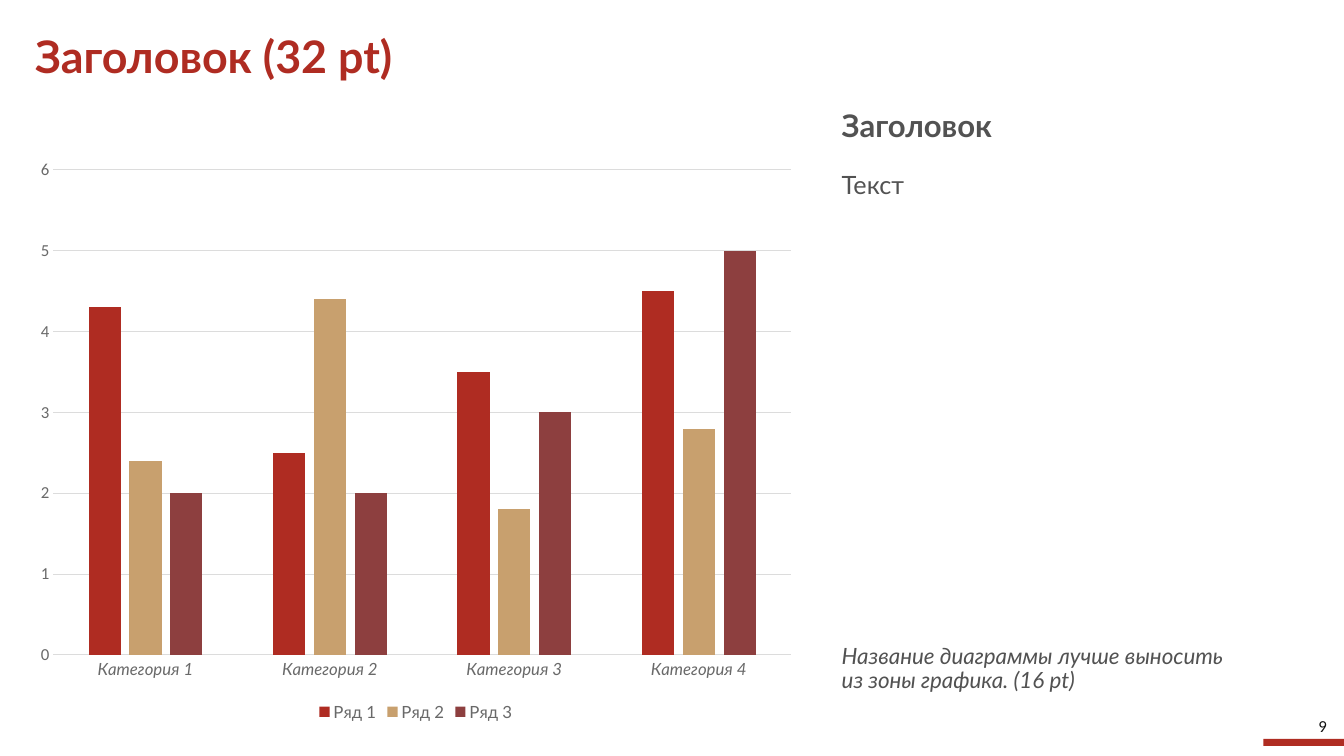
import pptx
import pptx.chart.data
import pptx.dml.color
import pptx.enum.chart
import pptx.enum.shapes
import pptx.enum.text
import pptx.util
from pptx.util import Inches

RED = "AF2C22"
TEXT_GRAY = "525252"
LABEL_GRAY = "696969"
GRID_GRAY = "DCDCDC"

CATEGORIES = ["Категория 1", "Категория 2", "Категория 3", "Категория 4"]
SERIES = [
    ("Ряд 1", (4.3, 2.5, 3.5, 4.5), RED),
    ("Ряд 2", (2.4, 4.4, 1.8, 2.8), "C8A06E"),
    ("Ряд 3", (2, 2, 3, 5), "8D3F3F"),
]


def rgb(value):
    return pptx.dml.color.RGBColor.from_string(value)


def style_font(font, size, color, name="Lato", bold=False, italic=False):
    font.size = pptx.util.Pt(size)
    font.name = name
    font.bold = bold
    font.italic = italic
    font.color.rgb = rgb(color)


def style_line(line, color):
    line.color.rgb = rgb(color)
    line.width = pptx.util.Pt(0.75)


def add_text(page, place, text, size, color, spacing=1.0, align="LEFT",
             anchor="TOP", **font_style):
    box = page.shapes.add_textbox(*map(Inches, place))
    frame = box.text_frame
    frame.word_wrap = True
    frame.vertical_anchor = pptx.enum.text.MSO_ANCHOR[anchor]
    para = frame.paragraphs[0]
    para.text = text
    para.line_spacing = spacing
    para.alignment = pptx.enum.text.PP_ALIGN[align]
    for span in para.runs:
        style_font(span.font, size, color, **font_style)


def add_accent_bar(page, place):
    bar = page.shapes.add_shape(
        pptx.enum.shapes.MSO_SHAPE.RECTANGLE, *map(Inches, place))
    bar.shadow.inherit = False
    bar.fill.solid()
    bar.fill.fore_color.rgb = rgb(RED)
    bar.line.fill.background()


def style_axes(chart):
    no_ticks = pptx.enum.chart.XL_TICK_MARK.NONE
    for axis in (chart.category_axis, chart.value_axis):
        axis.major_tick_mark = no_ticks
        axis.minor_tick_mark = no_ticks
    style_font(chart.category_axis.tick_labels.font, 12, LABEL_GRAY, italic=True)
    style_line(chart.category_axis.format.line, GRID_GRAY)

    values = chart.value_axis
    style_font(values.tick_labels.font, 12, LABEL_GRAY, name="Calibri")
    values.minimum_scale = 0
    values.maximum_scale = 6
    values.major_unit = 1
    values.format.line.fill.background()
    style_line(values.major_gridlines.format.line, GRID_GRAY)


def add_column_chart(page, place):
    data = pptx.chart.data.CategoryChartData()
    data.categories = CATEGORIES
    for name, values, _ in SERIES:
        data.add_series(name, values)
    chart = page.shapes.add_chart(
        pptx.enum.chart.XL_CHART_TYPE.COLUMN_CLUSTERED,
        *map(Inches, place), data).chart
    style_font(chart.font, 10, "181818", name="Calibri")
    chart.has_title = False

    plot = chart.plots[0]
    plot.vary_by_categories = False
    plot.gap_width = 219
    plot.overlap = -27
    for series, (_, _, color) in zip(plot.series, SERIES):
        series.format.fill.solid()
        series.format.fill.fore_color.rgb = rgb(color)

    style_axes(chart)
    chart.has_legend = True
    chart.legend.position = pptx.enum.chart.XL_LEGEND_POSITION.BOTTOM
    chart.legend.include_in_layout = False
    style_font(chart.legend.font, 12, LABEL_GRAY)


def main():
    deck = pptx.Presentation()
    deck.slide_width = Inches(13.33)
    deck.slide_height = Inches(7.5)
    page = deck.slides.add_slide(deck.slide_layouts[6])

    add_accent_bar(page, (12.53, 7.33, 0.8, 0.07))
    add_text(page, (0.25, 0.28, 11.22, 0.61), "Заголовок (32 pt)", 32, RED,
             spacing=0.9, anchor="MIDDLE", bold=True)
    add_text(page, (8.25, 1.08, 4.84, 0.4), "Заголовок", 22.2, TEXT_GRAY,
             spacing=0.8, bold=True)
    add_text(page, (8.25, 1.66, 4.84, 4.18), "Текст", 18, TEXT_GRAY, spacing=0.9)
    add_text(page, (8.25, 6.35, 4.84, 0.62),
             "Название диаграммы лучше выносить\vиз зоны графика. (16 pt)",
             16, TEXT_GRAY, spacing=0.9, italic=True)
    add_text(page, (12.53, 7.07, 0.73, 0.26), "9", 12, "121212",
             align="RIGHT", anchor="MIDDLE", name="Calibri")
    add_column_chart(page, (0.25, 1.47, 7.75, 5.73))

    deck.save("out.pptx")


if __name__ == "__main__":
    main()
